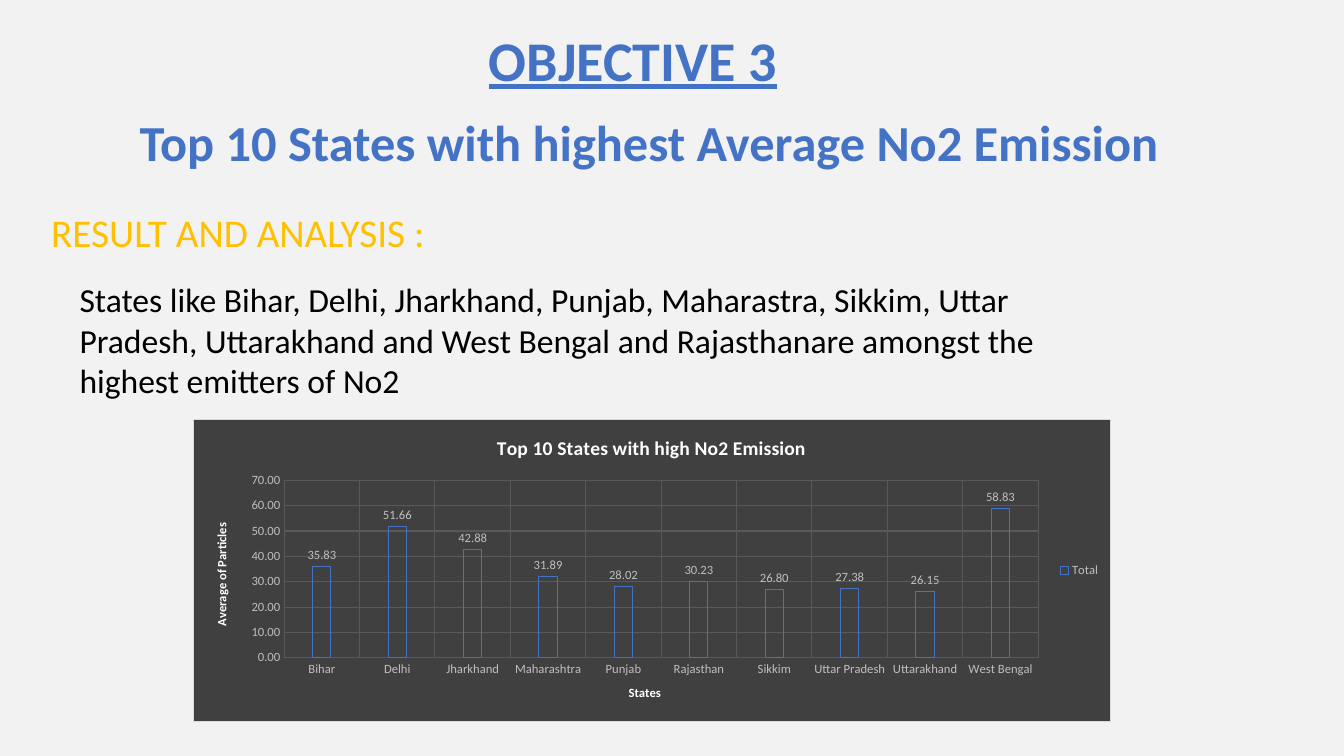
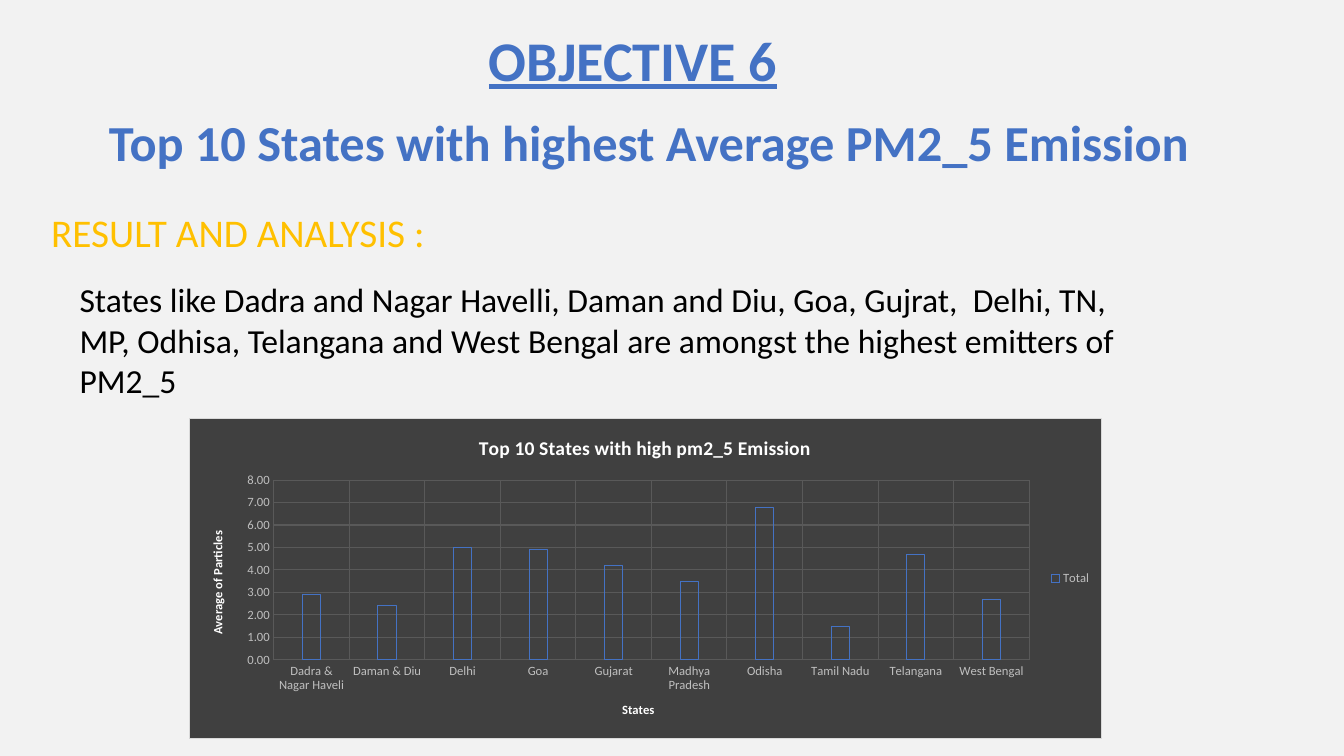
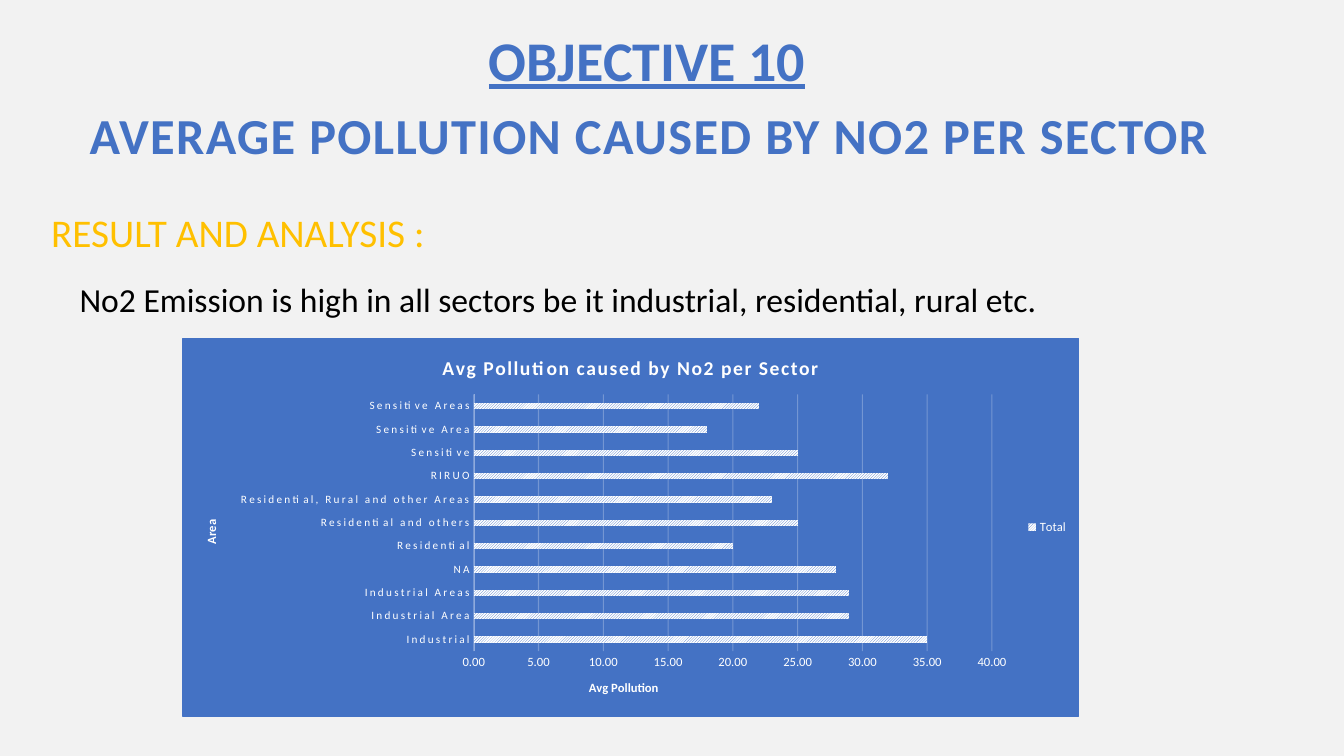
from dataclasses import dataclass

from lxml.etree import SubElement
from pptx import Presentation
from pptx.chart.data import CategoryChartData
from pptx.dml.color import RGBColor
from pptx.enum.chart import XL_CHART_TYPE as ChartType
from pptx.enum.chart import XL_LABEL_POSITION as LabelPosition
from pptx.enum.chart import XL_LEGEND_POSITION as LegendPosition
from pptx.enum.chart import XL_TICK_MARK as TickMark
from pptx.enum.dml import MSO_PATTERN as Pattern
from pptx.enum.text import MSO_ANCHOR as Anchor
from pptx.enum.text import MSO_AUTO_SIZE as AutoSize
from pptx.enum.text import PP_ALIGN as Align
from pptx.oxml import parse_xml
from pptx.oxml.ns import nsdecls, qn
from pptx.util import Inches, Pt


@dataclass(frozen=True)
class Theme:
    font: str = "Calibri"
    page: str = "F2F2F2"
    blue: str = "4472C4"
    gold: str = "FFC000"
    black: str = "000000"
    white: str = "FFFFFF"
    charcoal: str = "404040"
    grid: str = "595959"
    silver: str = "BFBFBF"
    frame: str = "D9D9D9"
    pale_blue: str = "8FAADC"
    objective_size: int = 40
    title_size: int = 36
    heading_size: int = 28
    body_size: int = 24
    chart_title_size: int = 14
    chart_size: int = 10
    label_size: int = 9
    small_size: int = 8


THEME = Theme()
HEADING = "RESULT AND ANALYSIS :"

DARK_COLUMNS = dict(
    kind=ChartType.COLUMN_CLUSTERED, fill=THEME.charcoal, border=THEME.frame,
    text=THEME.silver, gap=315, overlap=-40, hatched=False,
    category_title="States", value_title="Average of Particles",
    category_grid=True, grid=THEME.grid, grid_alpha=100,
    category_size=THEME.label_size, category_spacing=0, title_spacing=0)
BLUE_BARS = dict(
    kind=ChartType.BAR_CLUSTERED, fill=THEME.blue, border=THEME.blue,
    text=THEME.white, gap=269, overlap=-20, hatched=True,
    category_title="Area", value_title="Avg Pollution",
    category_grid=False, grid=THEME.white, grid_alpha=25,
    category_size=THEME.small_size, category_spacing=150, title_spacing=100)

SLIDES = [
    dict(
        objective="OBJECTIVE 3", objective_width=3.09,
        title="Top 10 States with highest Average No2 Emission",
        title_height=0.92, title_spacing=0, body_height=1.31,
        body="States like Bihar, Delhi, Jharkhand, Punjab, Maharastra, Sikkim, "
             "Uttar Pradesh, Uttarakhand and West Bengal and Rajasthanare "
             "amongst the highest emitters of No2",
        chart=dict(
            look=DARK_COLUMNS, at=(1.91, 4.16, 9.11, 3),
            title="Top 10 States with high No2 Emission",
            top=70, step=10, labels=True,
            values={"Bihar": 35.83, "Delhi": 51.66, "Jharkhand": 42.88,
                    "Maharashtra": 31.89, "Punjab": 28.02, "Rajasthan": 30.23,
                    "Sikkim": 26.8, "Uttar Pradesh": 27.38,
                    "Uttarakhand": 26.15, "West Bengal": 58.83})),
    dict(
        objective="OBJECTIVE 6", objective_width=3.09,
        title="Top 10 States with highest Average PM2_5 Emission",
        title_height=0.92, title_spacing=0, body_height=1.31,
        body="States like Dadra and Nagar Havelli, Daman and Diu, Goa, Gujrat,  "
             "Delhi, TN, MP, Odhisa, Telangana and West Bengal are amongst the "
             "highest emitters of PM2_5",
        chart=dict(
            look=DARK_COLUMNS, at=(1.87, 4.15, 9.06, 3.18),
            title="Top 10 States with high pm2_5 Emission",
            top=8, step=1, labels=False,
            values={"Dadra & Nagar Haveli": 2.9, "Daman & Diu": 2.4, "Delhi": 5,
                    "Goa": 4.9, "Gujarat": 4.2, "Madhya Pradesh": 3.5,
                    "Odisha": 6.8, "Tamil Nadu": 1.5, "Telangana": 4.7,
                    "West Bengal": 2.7})),
    dict(
        objective="OBJECTIVE 10", objective_width=3.37,
        title="AVERAGE POLLUTION CAUSED BY NO2 PER SECTOR",
        title_height=0.78, title_spacing=100, body_height=0.5,
        body="No2 Emission is high in all sectors be it industrial, "
             "residential, rural etc.",
        chart=dict(
            look=BLUE_BARS, at=(1.81, 3.35, 8.89, 3.76),
            title="Avg Pollution caused by No2 per Sector",
            top=40, step=5, labels=False,
            values={"Industrial": 35, "Industrial Area": 29,
                    "Industrial Areas": 29, "NA": 28, "Residential": 20,
                    "Residential and others": 25,
                    "Residential, Rural and other Areas": 23, "RIRUO": 32,
                    "Sensitive": 25, "Sensitive Area": 18,
                    "Sensitive Areas": 22})),
]


def rgb(color):
    return RGBColor.from_string(color)


def set_format(target, **values):
    for name, value in values.items():
        setattr(target, name, value)


def set_font(font, size, color, **values):
    set_format(font, name=THEME.font, size=Pt(size), **values)
    font.color.rgb = rgb(color)


def set_line(line, color, width=0.75):
    line.color.rgb = rgb(color)
    line.width = Pt(width)


def write(frame, text, size, color, spacing=0, **values):
    para = frame.paragraphs[0]
    span = para.add_run()
    span.text = text
    set_font(span.font, size, color, **values)
    if spacing:
        span._r.get_or_add_rPr().set("spc", str(spacing))
    return para


def add_title(page, content):
    title = page.shapes.title
    set_format(title, left=Inches(0.69), top=Inches(0.98),
               width=Inches(11.5), height=Inches(content["title_height"]))
    set_format(title.text_frame, word_wrap=True, auto_size=AutoSize.NONE,
               vertical_anchor=Anchor.MIDDLE)
    para = write(title.text_frame, content["title"], THEME.title_size,
                 THEME.blue, content["title_spacing"], bold=True)
    set_format(para, alignment=Align.CENTER, line_spacing=0.9)


def add_text(page, text, at, size, color, wrap=True, **values):
    box = page.shapes.add_textbox(*map(Inches, at))
    set_format(box.text_frame, word_wrap=wrap,
               auto_size=AutoSize.SHAPE_TO_FIT_TEXT)
    write(box.text_frame, text, size, color, **values)


def fill_chart_area(chart, fill, border):
    area = parse_xml(
        f'<c:spPr {nsdecls("c", "a")}>'
        f'<a:solidFill><a:srgbClr val="{fill}"/></a:solidFill>'
        f'<a:ln w="{Pt(0.75)}"><a:solidFill><a:srgbClr val="{border}"/>'
        '</a:solidFill></a:ln></c:spPr>')
    chart.element.find(qn("c:chart")).addnext(area)


def format_axis(axis, title, size, color, vertical):
    set_format(axis, major_tick_mark=TickMark.NONE,
               minor_tick_mark=TickMark.NONE)
    set_font(axis.tick_labels.font, size, color)
    axis.format.line.fill.background()
    write(axis.axis_title.text_frame, title, THEME.label_size, THEME.white,
          bold=True)
    if vertical:
        body = axis.axis_title.element.find(".//" + qn("a:bodyPr"))
        body.set("rot", "-5400000")
        body.set("vert", "horz")


def show_grid(axis, color, alpha):
    axis.has_major_gridlines = True
    line = axis.major_gridlines.format.line
    set_line(line, color)
    if alpha < 100:
        tint = axis._element.find(
            qn("c:majorGridlines")).find(".//" + qn("a:srgbClr"))
        SubElement(tint, qn("a:alpha")).set("val", str(alpha * 1000))


def format_series(series, hatched):
    series.invert_if_negative = False
    fill = series.format.fill
    if hatched:
        fill.patterned()
        fill.pattern = Pattern.LIGHT_UPWARD_DIAGONAL
        fill.fore_color.rgb = rgb(THEME.blue)
        fill.back_color.rgb = rgb(THEME.white)
    else:
        fill.background()
        set_line(series.format.line, THEME.blue)


def add_chart(page, spec):
    look = spec["look"]
    data = CategoryChartData(number_format="0.00")
    data.categories = list(spec["values"])
    data.add_series("Total", list(spec["values"].values()))
    chart = page.shapes.add_chart(
        look["kind"], *map(Inches, spec["at"]), data).chart
    fill_chart_area(chart, look["fill"], look["border"])
    set_font(chart.font, THEME.chart_size, THEME.black)

    chart.has_title = True
    write(chart.chart_title.text_frame, spec["title"], THEME.chart_title_size,
          THEME.white, look["title_spacing"], bold=True)
    chart.chart_title.include_in_layout = False
    chart.has_legend = True
    set_format(chart.legend, position=LegendPosition.RIGHT,
               include_in_layout=False)
    set_font(chart.legend.font, THEME.label_size, look["text"])

    horizontal = look["kind"] == ChartType.BAR_CLUSTERED
    category, value = chart.category_axis, chart.value_axis
    format_axis(category, look["category_title"], look["category_size"],
                look["text"], horizontal)
    format_axis(value, look["value_title"], THEME.label_size,
                look["text"], not horizontal)
    set_format(value, minimum_scale=0, maximum_scale=spec["top"],
               major_unit=spec["step"])
    set_format(value.tick_labels, number_format="0.00",
               number_format_is_linked=False)
    show_grid(value, look["grid"], look["grid_alpha"])
    if look["category_grid"]:
        show_grid(category, look["grid"], look["grid_alpha"])
    else:
        set_line(category.format.line, THEME.pale_blue, 0.25)
    if look["category_spacing"]:
        letters = category._element.find(
            qn("c:txPr")).find(".//" + qn("a:defRPr"))
        letters.set("spc", str(look["category_spacing"]))

    plot = chart.plots[0]
    set_format(plot, gap_width=look["gap"], overlap=look["overlap"],
               vary_by_categories=False)
    format_series(plot.series[0], look["hatched"])
    if spec["labels"]:
        plot.has_data_labels = True
        set_format(plot.data_labels, show_value=True, number_format="0.00",
                   number_format_is_linked=False,
                   position=LabelPosition.OUTSIDE_END)
        set_font(plot.data_labels.font, THEME.label_size, look["text"])


def add_page(deck, content):
    page = deck.slides.add_slide(deck.slide_layouts.get_by_name("Title Only"))
    add_title(page, content)
    add_text(page, content["objective"],
             (4.75, 0.2, content["objective_width"], 0.77),
             THEME.objective_size, THEME.blue, wrap=False,
             bold=True, underline=True)
    add_text(page, HEADING, (0.41, 2.02, 3.97, 0.57),
             THEME.heading_size, THEME.gold)
    add_text(page, content["body"], (0.69, 2.72, 10.51, content["body_height"]),
             THEME.body_size, THEME.black)
    add_chart(page, content["chart"])


def main():
    deck = Presentation()
    set_format(deck, slide_width=Inches(13.33), slide_height=Inches(7.5))
    background = deck.slide_master.background.fill
    background.solid()
    background.fore_color.rgb = rgb(THEME.page)
    for content in SLIDES:
        add_page(deck, content)
    deck.save("out.pptx")


if __name__ == "__main__":
    main()
